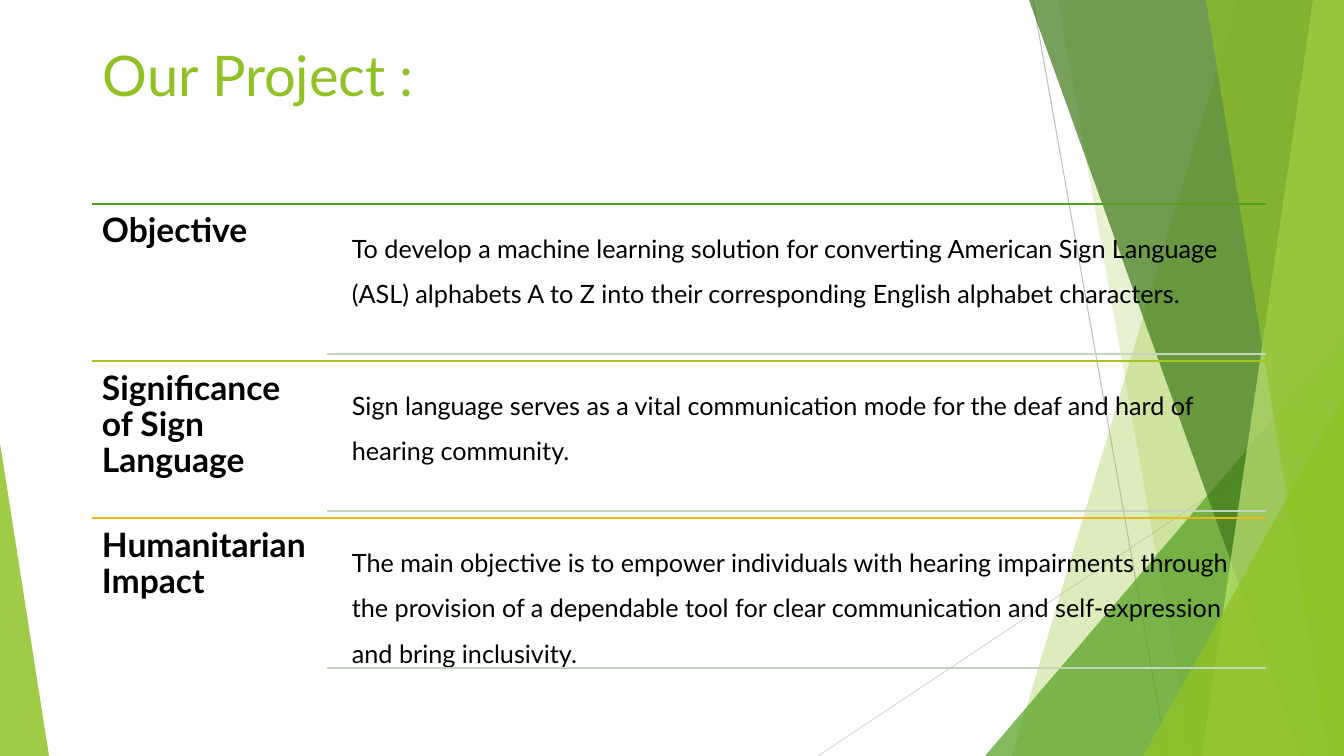
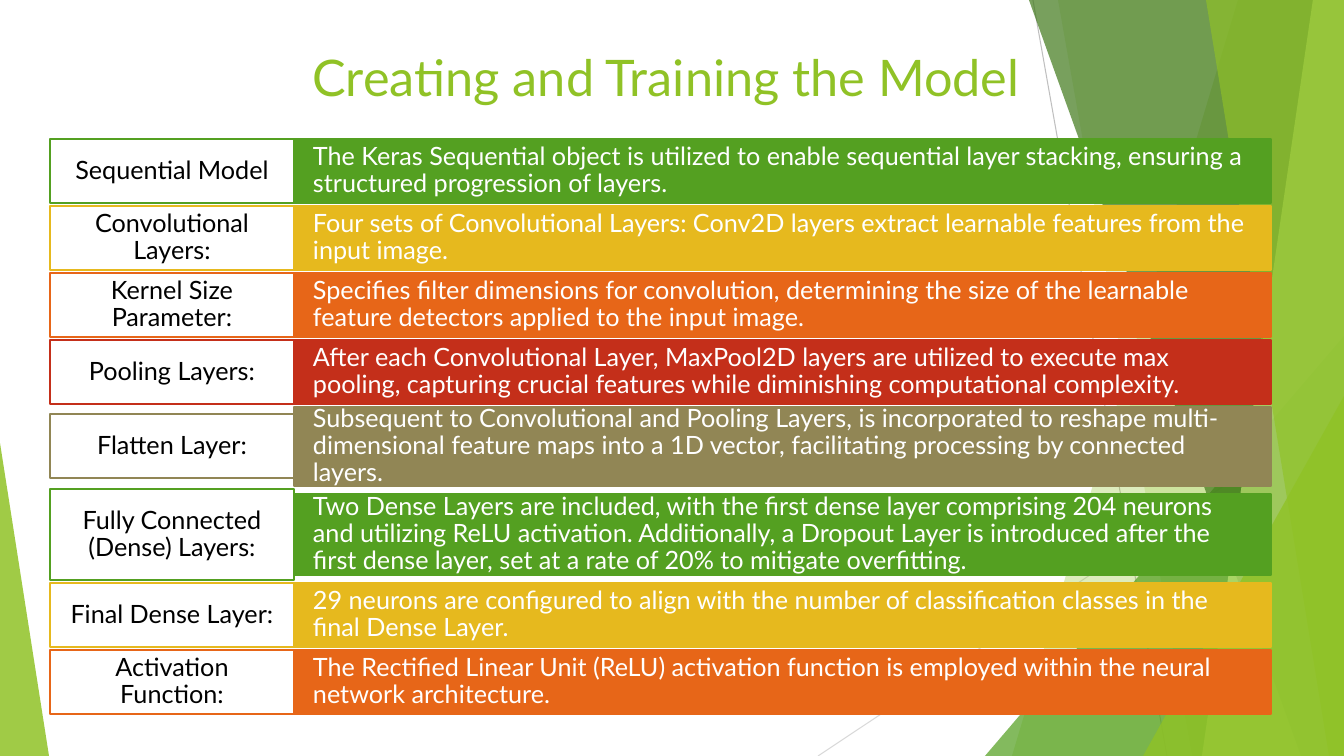
from lxml import etree
from pptx import Presentation
from pptx import util as u
from pptx.dml.color import RGBColor
from pptx.enum import shapes, text
from pptx.oxml import ns

WIDTH, HEIGHT = 1344, 756
SCALE = u.Inches(7.5) / HEIGHT  # EMU in one px
FONT = "Lato"
COLORS = {
    "white": "FFFFFF", "black": "000000", "lime": "90C226", "pale_lime": "C0E474",
    "green": "54A021", "dark_green": "3F7819", "olive": "A5C41F", "sage": "C3D6BD",
    "gold": "E6B91E", "orange": "E76618", "red": "C42F1A", "khaki": "918655",
    "gray": "BFBFBF", "light_gray": "D9D9D9",
}
LEFT, CENTER = text.PP_ALIGN.LEFT, text.PP_ALIGN.CENTER
TOP, MIDDLE = text.MSO_ANCHOR.TOP, text.MSO_ANCHOR.MIDDLE

# Each facet runs from its slanted left edge (top x, bottom x) to the right edge.
BACKDROP = [
    ("line", (1033, 0, 1167, 756), "gray", None),
    ("line", (1344, 406, 818, 756), "light_gray", None),
    ("facet", (1238, 1012), "lime", 30),
    ("facet", (1058, 1192), "lime", 20),
    ("triangle", (985, 336, 359, 420), "green", 72),
    ("facet", (1029, 1301), "dark_green", 70),
    ("facet", (1313, 1202), "pale_lime", 70),
    ("facet", (1206, 1329), "lime", 65),
    ("triangle", (1143, 396, 201, 360), "lime", 80),
    ("triangle", (0, 443, 49, 313), "lime", 85),
]

PROJECT_ROWS = [
    ("green", "Objective",
     "To develop a machine learning solution for converting American Sign Language "
     "(ASL) alphabets A to Z into their corresponding English alphabet characters."),
    ("olive", "Significance of Sign Language",
     "Sign language serves as a vital communication mode for the deaf and hard of "
     "hearing community."),
    ("gold", "Humanitarian Impact",
     "The main objective is to empower individuals with hearing impairments through "
     "the provision of a dependable tool for clear communication and self-expression "
     "and bring inclusivity."),
]

# Colour, tag height, band height, tag, description
LAYER_ROWS = [
    ("green", 64, 64, "Sequential Model",
     "The Keras Sequential object is utilized to enable sequential layer stacking, "
     "ensuring a structured progression of layers."),
    ("gold", 64, 64, "Convolutional Layers:",
     "Four sets of Convolutional Layers: Conv2D layers extract learnable features "
     "from the input image."),
    ("orange", 64, 64, "Kernel Size Parameter:",
     "Specifies filter dimensions for convolution, determining the size of the "
     "learnable feature detectors applied to the input image."),
    ("red", 64, 64, "Pooling Layers:",
     "After each Convolutional Layer, MaxPool2D layers are utilized to execute max "
     "pooling, capturing crucial features while diminishing computational complexity."),
    ("khaki", 64, 79, "Flatten Layer:",
     "Subsequent to Convolutional and Pooling Layers, is incorporated to reshape "
     "multi-dimensional feature maps into a 1D vector, facilitating processing by "
     "connected layers."),
    ("green", 91, 81, "Fully Connected (Dense) Layers:",
     "Two Dense Layers are included, with the first dense layer comprising 204 neurons "
     "and utilizing ReLU activation. Additionally, a Dropout Layer is introduced after "
     "the first dense layer, set at a rate of 20% to mitigate overfitting."),
    ("gold", 64, 64, "Final Dense Layer:",
     "29 neurons are configured to align with the number of classification classes in "
     "the final Dense Layer."),
    ("orange", 64, 64, "Activation Function:",
     "The Rectified Linear Unit (ReLU) activation function is employed within the "
     "neural network architecture."),
]


def emu(*lengths):
    return [round(length * SCALE) for length in lengths]


def rgb(color):
    return RGBColor.from_string(COLORS[color])


def write(shape, words, size, color, bold=False, align=LEFT, anchor=TOP,
          spacing=1.0, insets=(10, 5)):
    """Fill a shape with one paragraph; insets are (sides, top and bottom)."""
    frame = shape.text_frame
    frame.word_wrap = True
    frame.auto_size = text.MSO_AUTO_SIZE.NONE
    frame.vertical_anchor = anchor
    side, edge = emu(*insets)
    frame.margin_left = frame.margin_right = side
    frame.margin_top = frame.margin_bottom = edge
    para = frame.paragraphs[0]
    para.text = words
    para.alignment = align
    para.line_spacing = spacing
    para.font.name = FONT
    para.font.size = u.Pt(size)
    para.font.bold = bold
    para.font.color.rgb = rgb(color)


def add_line(parent, ends, color, width=1.5):
    line = parent.add_connector(shapes.MSO_CONNECTOR.STRAIGHT, *emu(*ends))
    line.line.color.rgb = rgb(color)
    line.line.width = u.Pt(width)
    etree.SubElement(line.element.spPr, ns.qn("a:effectLst"))


def add_text(page, box, words, size, **style):
    write(page.shapes.add_textbox(*emu(*box)), words, size, "black", **style)


def add_cell(page, box, fill, border, words, color, **style):
    cell = page.shapes.add_shape(shapes.MSO_SHAPE.RECTANGLE, *emu(*box))
    cell.shadow.inherit = False
    cell.fill.solid()
    cell.fill.fore_color.rgb = rgb(fill)
    cell.line.color.rgb = rgb(border)
    cell.line.width = u.Pt(1.5)
    write(cell, words, 18, color, anchor=MIDDLE, spacing=0.9, **style)


def paint_glass(shape, color, opacity):
    """Give a shape a translucent fill and no outline."""
    shape.shadow.inherit = False
    shape.fill.solid()
    shape.fill.fore_color.rgb = rgb(color)
    shape.line.fill.background()
    tint = shape.element.spPr.find(ns.qn("a:solidFill")).find(ns.qn("a:srgbClr"))
    etree.SubElement(tint, ns.qn("a:alpha"), val=str(opacity * 1000))


def draw_backdrop(parent):
    for kind, place, color, opacity in BACKDROP:
        if kind == "line":
            add_line(parent, place, color, 0.75)
            continue
        if kind == "facet":
            top_x, bottom_x = place
            outline = parent.build_freeform(top_x, 0, scale=SCALE)
            outline.add_line_segments([(WIDTH, 0), (WIDTH, HEIGHT), (bottom_x, HEIGHT)])
            shape = outline.convert_to_shape()
        else:
            shape = parent.add_shape(shapes.MSO_SHAPE.ISOSCELES_TRIANGLE, *emu(*place))
            shape.adjustments[0] = 1 if place[0] else 0
        paint_glass(shape, color, opacity)


def share_backdrop(page):
    """Draw the backdrop once and hand it to the layout behind the page."""
    layout = page.slide_layout
    for holder in list(layout.placeholders):
        if holder.placeholder_format.idx:
            layout.shapes.element.remove(holder.element)
    group = page.shapes.add_group_shape()
    draw_backdrop(group.shapes)
    layout.shapes.element.insert(2, group.element)


def set_title(page, box, words, size, align=LEFT):
    title = page.shapes.title
    title.left, title.top, title.width, title.height = emu(*box)
    write(title, words, size, "lime", align=align)


def add_project_row(page, box, color, heading, detail):
    left, top, width, height = box
    right, indent = left + width, 235
    add_line(page.shapes, (left, top, right, top), color)
    add_text(page, (left, top, indent, height), heading, 24,
             bold=True, spacing=0.9, insets=(10, 10))
    add_text(page, (left + indent + 18, top + 7, width - indent - 18, height - 14),
             detail, 18, spacing=1.5, insets=(7, 7))
    rule = top + height - 7
    add_line(page.shapes, (left + indent, rule, right, rule), "sage")


def add_layer_row(page, box, color, tag_height, band_height, tag, detail):
    left, top, width, height = box
    tag_width = 244
    band_top = top + (height - band_height) // 2
    tag_top = top + (height - tag_height) // 2
    add_cell(page, (left + tag_width, band_top, width - tag_width, band_height),
             color, color, detail, "white", insets=(19, 0))
    add_cell(page, (left, tag_top, tag_width, tag_height),
             "white", color, tag, "black", align=CENTER, insets=(13, 0))


def build_project(page):
    set_title(page, (93, 36, 1159, 148), "Our Project :", 40)
    height = 157
    for index, row in enumerate(PROJECT_ROWS):
        add_project_row(page, (92, 204 + index * height, 1174, height), *row)


def build_model(page):
    set_title(page, (56, 41, 1220, 83), "Creating and Training the Model", 36, CENTER)
    top, gap = 139, 3
    for row in LAYER_ROWS:
        height = max(row[1:3])
        add_layer_row(page, (50, top, 1221, height), *row)
        top += height + gap


def main():
    deck = Presentation()
    deck.slide_width, deck.slide_height = emu(WIDTH, HEIGHT)
    title_only = deck.slide_layouts[5]
    project, model = [deck.slides.add_slide(title_only) for _ in range(2)]
    share_backdrop(project)
    build_project(project)
    build_model(model)
    deck.save("out.pptx")


if __name__ == "__main__":
    main()
